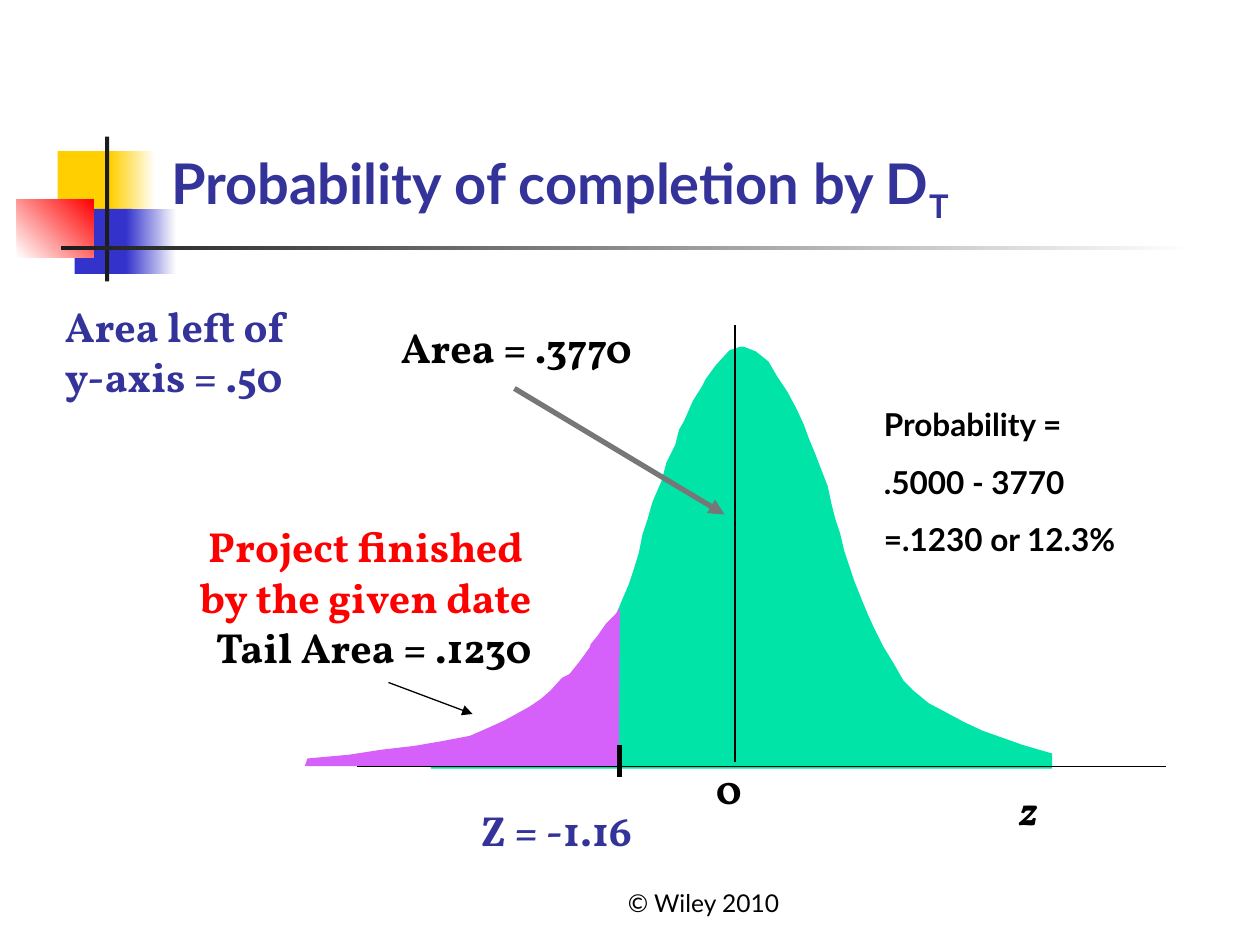
"""Build a slide showing the normal-curve probability of finishing a project by a given date."""
from lxml import etree
from pptx import Presentation
from pptx.dml.color import RGBColor
from pptx.enum.shapes import MSO_CONNECTOR, MSO_SHAPE
from pptx.enum.text import MSO_ANCHOR, MSO_AUTO_SIZE, PP_ALIGN
from pptx.oxml.ns import qn
from pptx.util import Inches, Pt

RECTANGLE, STRAIGHT = MSO_SHAPE.RECTANGLE, MSO_CONNECTOR.STRAIGHT
LEFT, CENTER, RIGHT = PP_ALIGN.LEFT, PP_ALIGN.CENTER, PP_ALIGN.RIGHT
TOP, BOTTOM = MSO_ANCHOR.TOP, MSO_ANCHOR.BOTTOM
NO_AUTOFIT = MSO_AUTO_SIZE.NONE
COLORS = {
    "black": "000000", "white": "FFFFFF", "charcoal": "1C1C1C", "gray": "777777",
    "yellow": "FFCF01", "blue": "3333CC", "red": "FF0000", "navy": "333399",
    "green": "00E4A8", "purple": "D560FA",
}
RGB = {name: RGBColor.from_string(value) for name, value in COLORS.items()}
SERIF = {"name": "Vollkorn", "size": Pt(24), "bold": True}
SANS = {"name": "Lato", "size": Pt(18), "bold": True}

presentation = Presentation()
presentation.slide_width, presentation.slide_height = Inches(10), Inches(7.5)
COLUMN = presentation.slide_width / 120
ROW = presentation.slide_height / 90
HUNDREDTH = Inches(0.01)
slide = presentation.slides.add_slide(presentation.slide_layouts[5])


def grid(left, top, width, height):
    return [round(value) for value in (left * COLUMN, top * ROW, width * COLUMN, height * ROW)]


def write(shape, lines, font, align=LEFT, anchor=TOP, wrap=True, gap=0):
    frame = shape.text_frame
    frame.auto_size, frame.word_wrap, frame.vertical_anchor = NO_AUTOFIT, wrap, anchor
    for index, (text, color) in enumerate(lines):
        paragraph = frame.add_paragraph() if index else frame.paragraphs[0]
        paragraph.alignment = align
        paragraph.space_before = Pt(gap if index else 0)
        run = paragraph.add_run()
        run.text = text
        run.font.color.rgb = RGB[color]
        for name, value in font.items():
            setattr(run.font, name, value)


# left, top, width, height, first color, last color, angle
ornaments = [
    (5.5, 14.4, 5.8, 6.2, "yellow", None, 0),
    (10.5, 14.4, 4.3, 6.2, "yellow", "white", 0),
    (7.1, 19.9, 5.5, 6.2, "blue", None, 0),
    (12, 19.9, 4.8, 6.2, "blue", "white", 0),
    (1.6, 19, 7.3, 5.5, "white", "red", 45),
    (10, 13, 0.4, 13.8, "charcoal", None, 0),
    (5.8, 23.4, 108, 0.4, "charcoal", "white", 0),
]
for left, top, width, height, first, last, angle in ornaments:
    shape = slide.shapes.add_shape(RECTANGLE, *grid(left, top, width, height))
    shape.shadow.inherit = False
    shape.line.fill.background()
    if last:
        shape.fill.gradient()
        shape.fill.gradient_angle = angle
        for stop, color in zip(shape.fill.gradient_stops, (first, last)):
            stop.color.rgb = RGB[color]
    else:
        shape.fill.solid()
        shape.fill.fore_color.rgb = RGB[first]

title = slide.shapes.title
title.left, title.top, title.width, title.height = grid(15.1, 2.8, 102.2, 19.2)
write(title, [("Probability of completion by D", "navy")],
      {**SANS, "size": Pt(32)}, anchor=BOTTOM)
subscript = title.text_frame.paragraphs[0].add_run()
subscript.text = "T"
for name, value in {**SANS, "size": Pt(32)}.items():
    setattr(subscript.font, name, value)
subscript.font.color.rgb = RGB["navy"]
subscript.font._element.set("baseline", "-25000")

curve = [
    (590, 275), (600, 279), (610, 287), (617, 299), (625, 311), (632, 324),
    (638, 337), (642, 348), (647, 360), (652, 373), (657, 386), (660, 400),
    (663, 412), (667, 424), (670, 437), (674, 449), (678, 461), (684, 476),
    (689, 488), (694, 499), (701, 513), (709, 526), (717, 540), (726, 549),
    (737, 558), (752, 566), (765, 573), (780, 580), (797, 586), (811, 591),
    (828, 596), (835, 598), (835, 610), (342, 610), (343, 600), (357, 597),
    (372, 593), (388, 588), (400, 584), (414, 578), (428, 570), (442, 561),
    (451, 552), (460, 542), (468, 529), (476, 517), (482, 504), (488, 490),
    (493, 478), (499, 464), (503, 452), (507, 439), (510, 424), (514, 412),
    (518, 398), (525, 382), (529, 367), (536, 353), (539, 341), (543, 334),
    (550, 318), (557, 307), (560, 301), (568, 290), (579, 278), (588, 275),
]
tail = [
    (492, 483), (488, 488), (481, 495), (474, 505), (469, 511), (468, 514),
    (460, 525), (452, 535), (446, 538), (437, 548), (429, 555), (420, 561),
    (411, 566), (400, 572), (389, 577), (373, 584), (352, 588), (329, 592),
    (303, 595), (277, 599), (244, 602), (242, 608), (491, 608),
]
for points, color in ((curve, "green"), (tail, "purple")):
    builder = slide.shapes.build_freeform(*points[0], scale=HUNDREDTH)
    builder.add_line_segments(points[1:], close=True)
    shape = builder.convert_to_shape()
    shape.shadow.inherit = False
    shape.fill.solid()
    shape.fill.fore_color.rgb = RGB[color]
    shape.line.fill.background()

# start column, start row, end column, end row, color, points, arrow
lines = [
    (34, 73, 111, 73, "black", 1, False),
    (70, 31, 70, 72.6, "black", 1, False),
    (49, 37, 69, 49, "gray", 3, True),
    (59, 71, 59, 74, "black", 3, False),
    (37, 65, 45, 68, "black", 0.75, True),
]
for start_column, start_row, end_column, end_row, color, weight, arrow in lines:
    ends = grid(start_column, start_row, end_column, end_row)
    connector = slide.shapes.add_connector(STRAIGHT, *ends)
    connector.line.color.rgb = RGB[color]
    connector.line.width = Pt(weight)
    if arrow:
        etree.SubElement(connector.line._get_or_add_ln(), qn("a:tailEnd"), type="triangle")
    etree.SubElement(connector._element.spPr, qn("a:effectLst"))

labels = [
    ((48, 82, 38, 6), [("© Wiley 2010", "black")], {"name": "Lato", "size": Pt(14)},
     {"align": CENTER, "anchor": BOTTOM}),
    ((44.6, 76, 18.5, 6), [("Z = -1.16", "navy")], SERIF, {"wrap": False}),
    ((95.9, 74, 4.6, 6), [("z", "black")], {**SERIF, "italic": True}, {"wrap": False}),
    ((67, 72, 4.3, 6), [("0", "black")], SERIF, {}),
    ((12, 49, 39.8, 15.6),
     [("Project finished ", "red"), ("by the given date", "red"), ("Tail Area = .1230", "black")],
     SERIF, {"align": RIGHT}),
    ((37, 30, 26.6, 6), [("Area = .3770", "black")], SERIF, {"wrap": False}),
    ((5, 28, 27, 10.8), [("Area left of y-axis = .50", "navy")], SERIF, {}),
    ((83, 38, 29, 15.8),
     [(text, "black") for text in ("Probability =", ".5000 - 3770", "=.1230 or 12.3%")],
     SANS, {"gap": 11.2}),
]
for place, text_lines, font, options in labels:
    write(slide.shapes.add_textbox(*grid(*place)), text_lines, font, **options)

presentation.save("out.pptx")
